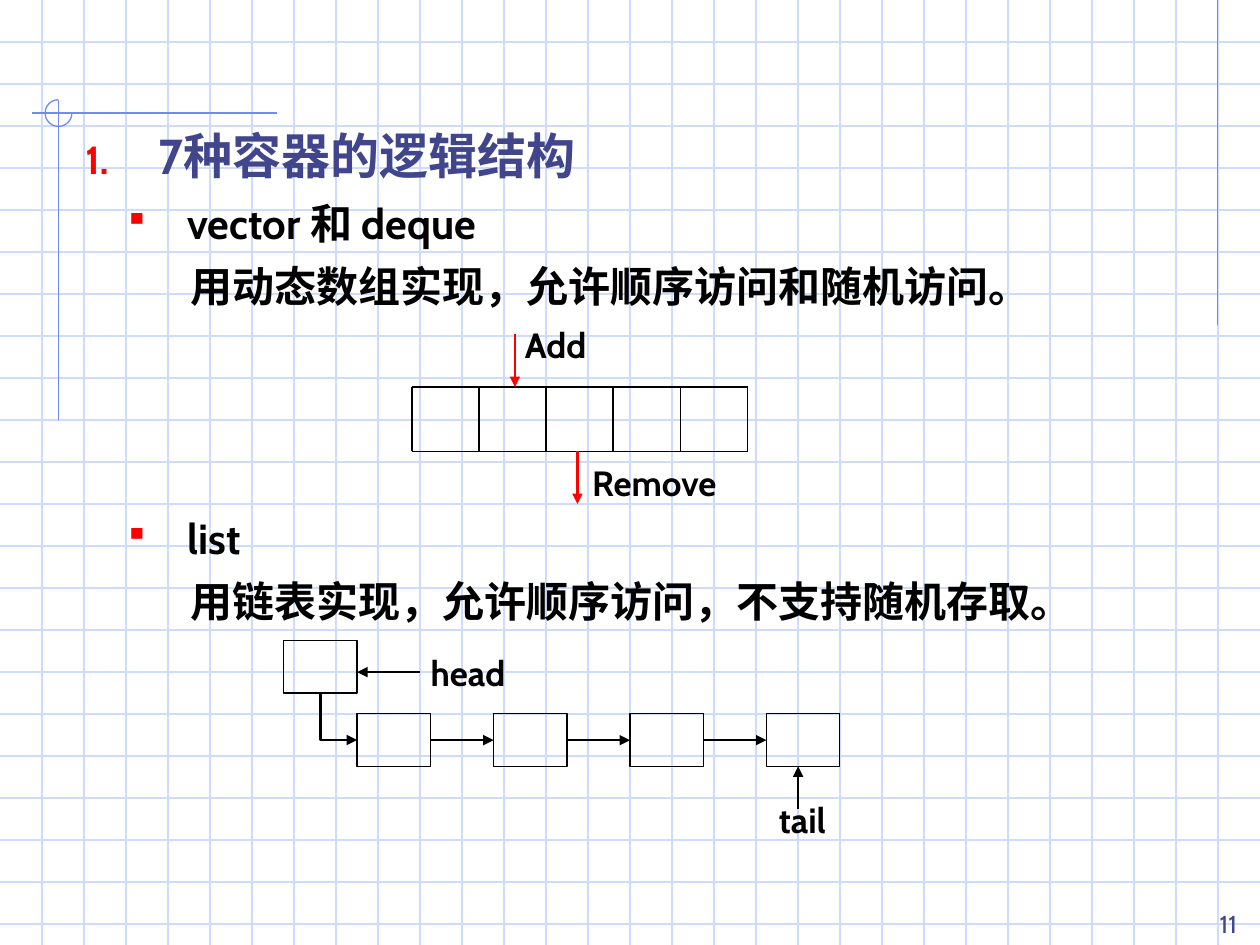
"""Builds a slide on the logical structure of sequence containers."""
from dataclasses import dataclass

import pptx
import pptx.dml.color
import pptx.enum.shapes
import pptx.enum.text
import pptx.oxml
import pptx.oxml.ns
import pptx.util

Cm = pptx.util.Cm
Pt = pptx.util.Pt


@dataclass(frozen=True)
class Theme:
    """Colours, type sizes and font of the slide."""
    font: str = "Cabin"
    grid: str = "CFDBFD"
    ornament: str = "6F89F7"
    heading: str = "40458C"
    ink: str = "000000"
    accent: str = "FF0000"
    heading_size: int = 28
    body_size: int = 24
    label_size: int = 20
    number_size: int = 14


@dataclass(frozen=True)
class Box:
    """A region of the slide in centimetres."""
    left: float
    top: float
    width: float
    height: float


THEME = Theme()
PAGE = Box(0, 0, 25.4, 19.05)
RIGHT = pptx.enum.text.PP_ALIGN.RIGHT
BOTTOM = pptx.enum.text.MSO_ANCHOR.BOTTOM
SHAPES = pptx.enum.shapes.MSO_SHAPE
CONNECTORS = pptx.enum.shapes.MSO_CONNECTOR


def rgb(colour):
    """Return a colour object for a hex string."""
    return pptx.dml.color.RGBColor.from_string(colour)


def add_xml(parent, tag, **attributes):
    """Append a DrawingML element and return it."""
    child = pptx.oxml.parse_xml(f"<a:{tag} {pptx.oxml.ns.nsdecls('a')}/>")
    for key, value in attributes.items():
        child.set(key, str(value))
    parent.append(child)
    return child


def add_line(slide, box, start, end, colour, weight, arrow=None, kind=CONNECTORS.STRAIGHT):
    """Draw a connector between two points of a box; arrow is headEnd or tailEnd."""
    points = [Cm(value) for x, y in (start, end) for value in (box.left + x, box.top + y)]
    connector = slide.shapes.add_connector(kind, *points)
    connector.line.color.rgb = rgb(colour)
    connector.line.width = Pt(weight)
    if arrow:
        add_xml(connector.get_or_add_ln(), arrow, type="triangle")
    add_xml(connector._element.spPr, "effectLst")
    return connector


def add_outline(slide, box, kind, left, top, width, height, colour):
    """Draw an unfilled thin preset shape inside a box."""
    shape = slide.shapes.add_shape(
        kind, Cm(box.left + left), Cm(box.top + top), Cm(width), Cm(height))
    shape.shadow.inherit = False
    shape.fill.background()
    shape.line.color.rgb = rgb(colour)
    shape.line.width = Pt(0.75)
    return shape


def style_runs(paragraph, size, colour, bold=True):
    """Format every run of a paragraph."""
    for run in paragraph.runs:
        run.font.name = THEME.font
        run.font.size = Pt(size)
        run.font.bold = bold
        run.font.color.rgb = rgb(colour)


def add_label(slide, box, left, top, text):
    """Place a bold diagram label inside a box."""
    label = slide.shapes.add_textbox(
        Cm(box.left + left), Cm(box.top + top), Cm(2.72), Cm(0.85))
    frame = label.text_frame
    frame.word_wrap = True
    frame.margin_left = frame.margin_right = frame.margin_top = frame.margin_bottom = 0
    frame.text = text
    style_runs(frame.paragraphs[0], THEME.label_size, THEME.ink)


def draw_backdrop(slide, box):
    """Draw the squared paper and the corner ornaments."""
    pitch = box.width / 30
    for row in range(1, 23):
        add_line(slide, box, (0, row * pitch), (box.width, row * pitch), THEME.grid, 0.75)
    for column in range(1, 30):
        add_line(slide, box, (column * pitch, 0), (column * pitch, box.height), THEME.grid, 0.75)
    for start, end in (((24.55, 0), (24.55, 6.55)),
                       ((5.59, 2.28), (0.64, 2.28)),
                       ((1.18, 2.02), (1.18, 8.47))):
        add_line(slide, box, start, end, THEME.ornament, 0.75)
    arc = add_outline(slide, box, SHAPES.ARC, 0.91, 2.01, 0.54, 0.54, THEME.ornament)
    arc.adjustments[0] = 0
    arc.adjustments[1] = 162


def write_outline(slide, box):
    """Write the numbered heading, the bullets and their explanations."""
    outline = slide.shapes.add_textbox(
        Cm(box.left), Cm(box.top), Cm(box.width), Cm(box.height))
    frame = outline.text_frame
    frame.word_wrap = True
    number = ("buAutoNum", {"type": "arabicPeriod"})
    square = ("buChar", {"char": "▪"})
    plain = ("buNone", {})
    heading = (THEME.heading_size, THEME.heading)
    body = (THEME.body_size, THEME.ink)
    entries = (
        ("7种容器的逻辑结构", 0, 1.48, -1.48, 7, number, heading),
        ("vector 和 deque", 1, 2.06, -1.27, 6, square, body),
        ("用动态数组实现，允许顺序访问和随机访问。", 2, 3.39, -1.27, 6, plain, body),
        ("list", 1, 2.06, -1.27, 114, square, body),
        ("用链表实现，允许顺序访问，不支持随机存取。", 2, 3.39, -1.27, 6, plain, body),
    )
    for index, (text, level, margin, indent, before, bullet, style) in enumerate(entries):
        paragraph = frame.add_paragraph() if index else frame.paragraphs[0]
        paragraph.text = text
        paragraph.level = level
        paragraph.line_spacing = Pt(30)
        paragraph.space_before = Pt(before)
        style_runs(paragraph, *style)
        properties = paragraph._p.get_or_add_pPr()
        properties.set("marL", str(Cm(margin)))
        properties.set("indent", str(Cm(indent)))
        if bullet != plain:
            add_xml(add_xml(properties, "buClr"), "srgbClr", val=THEME.accent)
            add_xml(properties, "buSzPct", val=80000)
        tag, attributes = bullet
        add_xml(properties, tag, **attributes)


def draw_array(slide, box):
    """Draw the five-cell array with its Add and Remove arrows."""
    top, bottom, cells = 1.27, 2.57, 5
    for y in (top, bottom):
        add_line(slide, box, (0, y), (box.width, y), THEME.ink, 1)
    for edge in range(cells + 1):
        x = edge * box.width / cells
        add_line(slide, box, (x, top), (x, bottom), THEME.ink, 1)
    add_line(slide, box, (2.08, 0.21), (2.08, top), THEME.accent, 1.5, "tailEnd")
    add_line(slide, box, (3.34, bottom), (3.34, box.height), THEME.accent, 1.5, "tailEnd")
    add_label(slide, box, 2.28, 0, "Add")
    add_label(slide, box, 3.64, 2.78, "Remove")


def draw_linked_list(slide, box):
    """Draw the head node, the chain of four nodes and the end labels."""
    width, height, step, nodes = 1.48, 1.06, 2.75, 4
    chain_top = 1.48
    middle = chain_top + height / 2
    starts = [width + node * step for node in range(nodes)]
    add_outline(slide, box, SHAPES.RECTANGLE, 0, 0, width, height, THEME.ink)
    for x in starts:
        add_outline(slide, box, SHAPES.RECTANGLE, x, chain_top, width, height, THEME.ink)
    for x, following in zip(starts, starts[1:]):
        add_line(slide, box, (x + width, middle), (following, middle), THEME.ink, 1.5, "tailEnd")
    elbow = add_line(slide, box, (width, middle), (width / 2, height), THEME.ink, 1.5,
                     "headEnd", CONNECTORS.ELBOW)
    elbow._element.spPr.find(pptx.oxml.ns.qn("a:prstGeom")).set("prst", "bentConnector2")
    add_line(slide, box, (2.74, 0.64), (width, 0.64), THEME.ink, 1.5, "tailEnd")
    add_line(slide, box, (10.37, 3.39), (10.37, chain_top + height), THEME.ink, 1.5, "tailEnd")
    add_label(slide, box, 2.96, 0.22, "head")
    add_label(slide, box, 9.98, 3.18, "tail")


def write_page_number(slide, box):
    """Write the page number at the bottom right of its box."""
    number = slide.shapes.add_textbox(
        Cm(box.left), Cm(box.top), Cm(box.width), Cm(box.height))
    frame = number.text_frame
    frame.word_wrap = True
    frame.vertical_anchor = BOTTOM
    frame.text = "11"
    frame.paragraphs[0].alignment = RIGHT
    style_runs(frame.paragraphs[0], THEME.number_size, THEME.heading, bold=False)


def main():
    """Build and save the slide."""
    deck = pptx.Presentation()
    deck.slide_width, deck.slide_height = Cm(PAGE.width), Cm(PAGE.height)
    slide = deck.slides.add_slide(deck.slide_layouts[6])
    draw_backdrop(slide, PAGE)
    write_outline(slide, Box(1.47, 2.54, 22.86, 15.44))
    draw_array(slide, Box(8.3, 6.53, 6.77, 3.63))
    draw_linked_list(slide, Box(5.72, 12.91, 11.21, 4.03))
    write_page_number(slide, Box(23.5, 17.78, 1.69, 1.27))
    deck.save("out.pptx")


if __name__ == "__main__":
    main()
